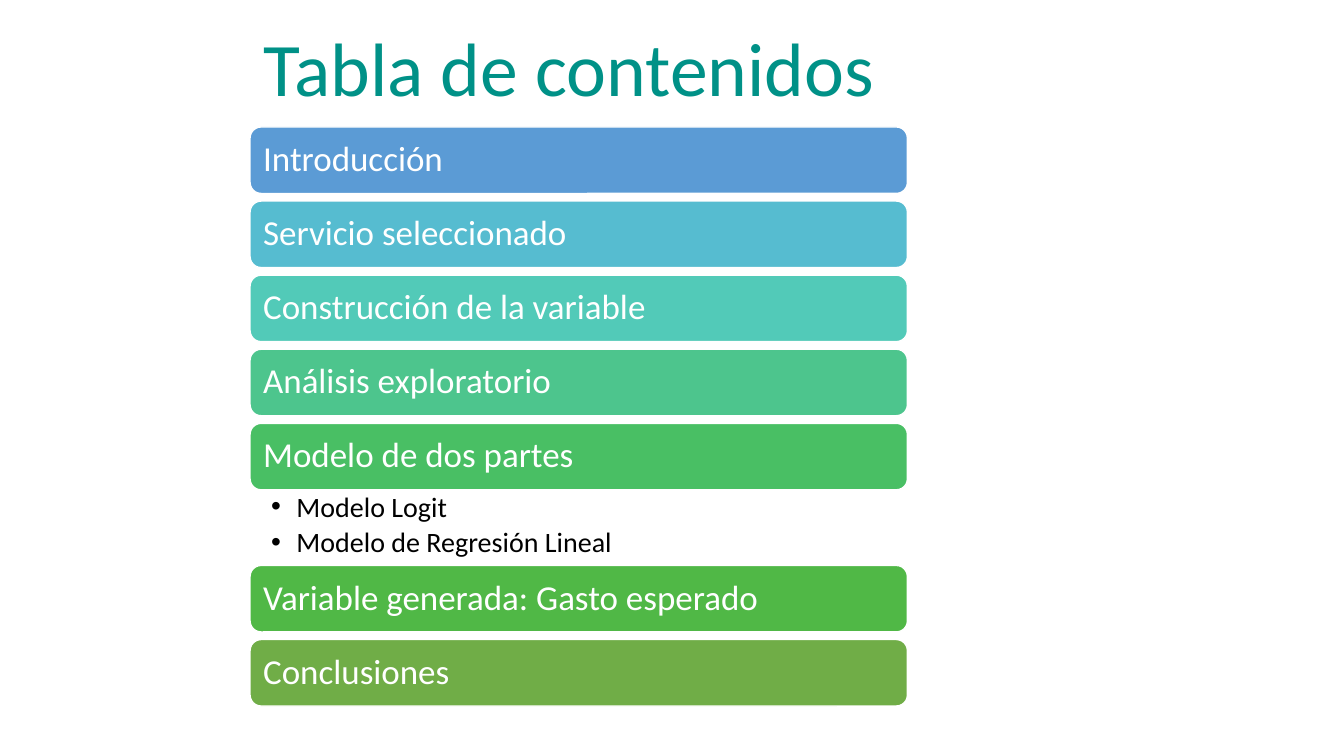
from lxml import etree
from pptx import Presentation
from pptx import util as u
from pptx.dml.color import RGBColor
from pptx.enum import shapes, text
from pptx.oxml.ns import qn

FONT = "Calibri"
COLORS = {"title": "009187", "white": "FFFFFF", "black": "000000"}

LEFT, WIDTH = 2.48, 6.52
BAR_HEIGHT, BAR_STEP = 0.66, 0.735
FIRST_TOP, SECOND_TOP = 1.26, 5.61

SECTIONS_BEFORE = [
    ("Introducción", "5B9BD5"),
    ("Servicio seleccionado", "56BCD0"),
    ("Construcción de la variable", "52CAB8"),
    ("Análisis exploratorio", "4DC58D"),
    ("Modelo de dos partes", "49BF64"),
]
MODELS = ["Modelo Logit", "Modelo de Regresión Lineal"]
SECTIONS_AFTER = [
    ("Variable generada: Gasto esperado", "50B846"),
    ("Conclusiones", "70AD47"),
]


def style(paragraph, size, color):
    for run in paragraph.runs:
        run.font.name = FONT
        run.font.size = u.Pt(size)
        run.font.color.rgb = RGBColor.from_string(color)


def set_margins(frame, left, top, right, bottom):
    frame.margin_left, frame.margin_top = u.Inches(left), u.Inches(top)
    frame.margin_right, frame.margin_bottom = u.Inches(right), u.Inches(bottom)


def add_bullet(paragraph):
    properties = paragraph._p.get_or_add_pPr()
    properties.set("marL", str(u.Inches(0.25)))
    properties.set("indent", str(u.Inches(-0.25)))
    etree.SubElement(properties, qn("a:buFont"), typeface="Arial")
    etree.SubElement(properties, qn("a:buChar"), char="•")


def add_title(slide, wording):
    title = slide.shapes.add_textbox(
        u.Inches(LEFT), u.Inches(0.16), u.Inches(6.32), u.Inches(1.01))
    title.text_frame.word_wrap = False
    title.text_frame.text = wording
    heading = title.text_frame.paragraphs[0]
    heading.alignment = text.PP_ALIGN.CENTER
    style(heading, 54, COLORS["title"])


def add_section(slide, top, wording, color):
    bar = slide.shapes.add_shape(
        shapes.MSO_SHAPE.ROUNDED_RECTANGLE,
        u.Inches(LEFT), u.Inches(top), u.Inches(WIDTH), u.Inches(BAR_HEIGHT))
    bar.shadow.inherit = False
    bar.fill.solid()
    bar.fill.fore_color.rgb = RGBColor.from_string(color)
    bar.line.color.rgb = RGBColor.from_string(COLORS["white"])
    bar.line.width = u.Pt(1)
    frame = bar.text_frame
    frame.word_wrap = True
    frame.vertical_anchor = text.MSO_ANCHOR.MIDDLE
    set_margins(frame, 0.1, 0.1, 0.1, 0.1)
    frame.text = wording
    label = frame.paragraphs[0]
    label.alignment = text.PP_ALIGN.LEFT
    label.line_spacing = 0.9
    style(label, 25, COLORS["white"])


def add_sections(slide, first_top, sections):
    for index, (wording, color) in enumerate(sections):
        add_section(slide, first_top + index * BAR_STEP, wording, color)


def add_bullet_list(slide, top, entries):
    bullets = slide.shapes.add_textbox(
        u.Inches(LEFT), u.Inches(top), u.Inches(WIDTH), u.Inches(0.75))
    frame = bullets.text_frame
    frame.word_wrap = True
    set_margins(frame, 0.21, 0.03, 0.19, 0.03)
    frame.text = "\n".join(entries)
    for entry in frame.paragraphs:
        entry.line_spacing = 0.9
        entry.space_after = u.Pt(4)
        add_bullet(entry)
        style(entry, 20, COLORS["black"])


def main():
    deck = Presentation()
    deck.slide_width, deck.slide_height = u.Inches(13.33), u.Inches(7.5)
    slide = deck.slides.add_slide(deck.slide_layouts[6])

    # Heading
    add_title(slide, "Tabla de contenidos")

    # Sections, with the two models listed under the fifth
    add_sections(slide, FIRST_TOP, SECTIONS_BEFORE)
    add_bullet_list(slide, 4.86, MODELS)
    add_sections(slide, SECOND_TOP, SECTIONS_AFTER)

    deck.save("out.pptx")


if __name__ == "__main__":
    main()
